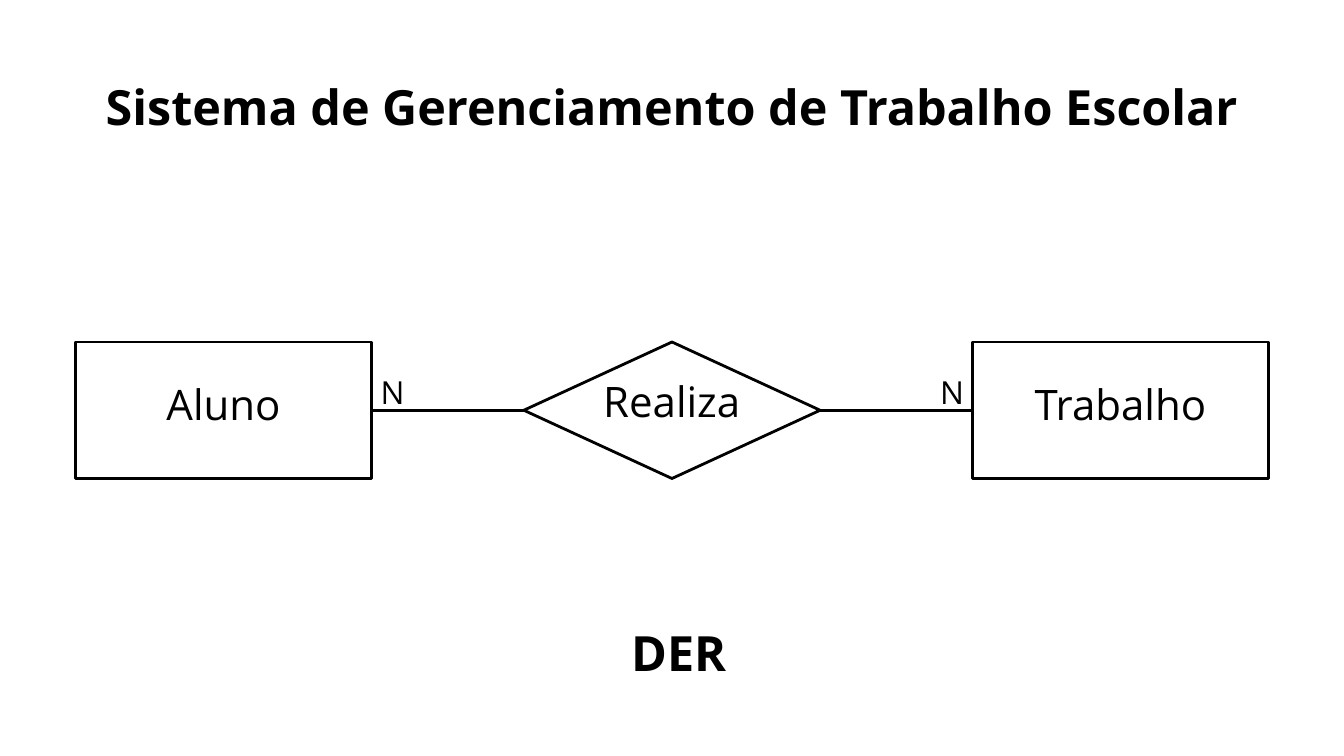
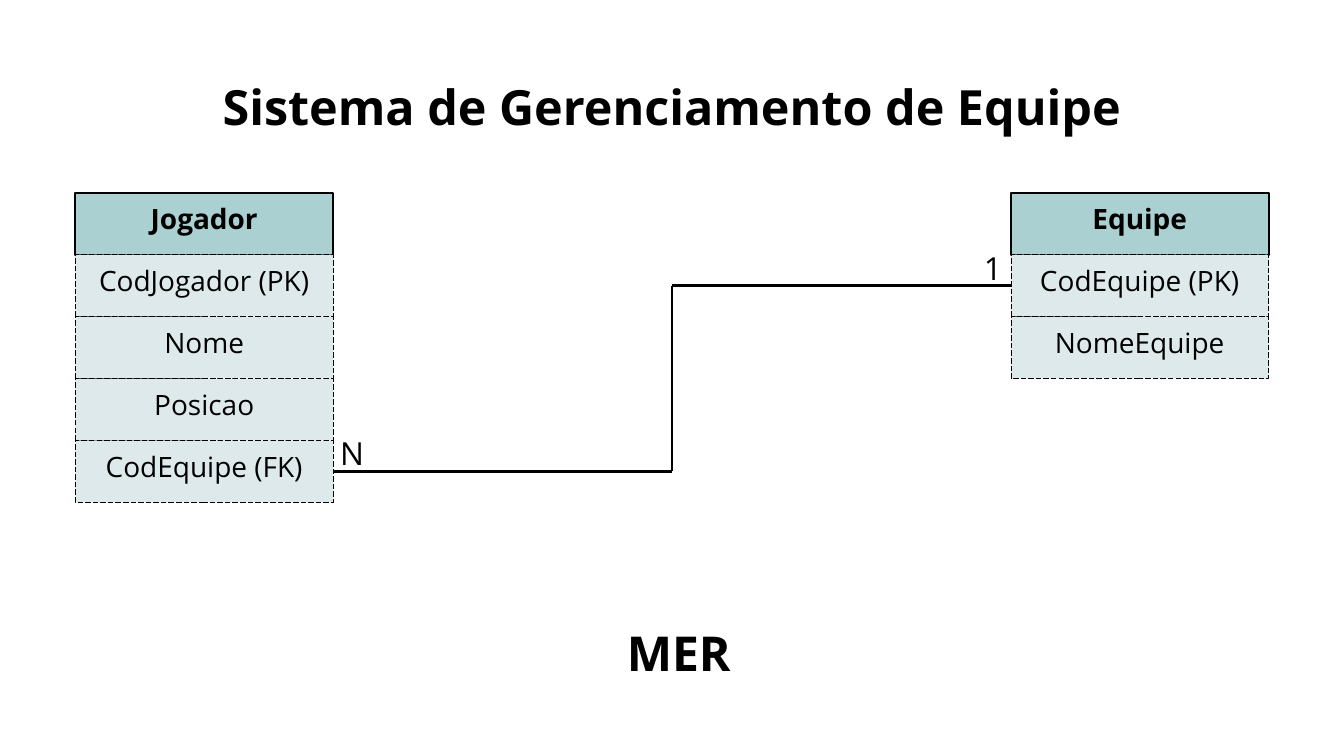
from itertools import pairwise

from lxml.etree import SubElement
from pptx import Presentation
from pptx.dml.color import RGBColor
from pptx.enum.dml import MSO_LINE
from pptx.enum.shapes import MSO_CONNECTOR, MSO_SHAPE
from pptx.enum.text import MSO_ANCHOR, PP_ALIGN
from pptx.oxml.ns import qn
from pptx.util import Cm, Pt

BLACK = RGBColor(0x00, 0x00, 0x00)
WHITE = RGBColor(0xFF, 0xFF, 0xFF)
TEAL = RGBColor(0xAA, 0xD0, 0xD1)
PALE_TEAL = RGBColor(0xDE, 0xE9, 0xEB)
FONT = "Open Sans"

SLIDE_W, SLIDE_H = 50.8, 28.58
MARGIN = 2.85
MIDDLE = SLIDE_W / 2


def write(shape, text, size, bold=False, raise_by=0):
    """Set one centred line of text; raise_by (cm) is kept free below it."""
    frame = shape.text_frame
    frame.word_wrap = True
    frame.margin_left = frame.margin_right = frame.margin_top = 0
    frame.margin_bottom = Cm(raise_by)
    frame.vertical_anchor = MSO_ANCHOR.MIDDLE
    frame.text = text
    paragraph = frame.paragraphs[0]
    paragraph.alignment = PP_ALIGN.CENTER
    paragraph.line_spacing = Pt(size * 1.4)
    font = paragraph.runs[0].font
    font.name, font.size, font.bold = FONT, Pt(size), bold
    font.color.rgb = BLACK


def outlined(slide, preset, box, fill, line_width):
    shape = slide.shapes.add_shape(preset, *map(Cm, box))
    shape.shadow.inherit = False
    shape.fill.solid()
    shape.fill.fore_color.rgb = fill
    shape.line.color.rgb = BLACK
    shape.line.width = Pt(line_width)
    return shape


prs = Presentation()
prs.slide_width, prs.slide_height = Cm(SLIDE_W), Cm(SLIDE_H)
der = prs.slides.add_slide(prs.slide_layouts[6])
mer = prs.slides.add_slide(prs.slide_layouts[6])

# Entities and relationship
ENTITY_W, ENTITY_H, ENTITY_TOP = 11.2, 5.16, 12.93
ENTITY_RIGHT = SLIDE_W - MARGIN - ENTITY_W
DIAMOND_LEFT = MIDDLE - ENTITY_W / 2
axis = ENTITY_TOP + ENTITY_H / 2

for entity, left in (("Aluno", MARGIN), ("Trabalho", ENTITY_RIGHT)):
    rectangle = outlined(der, MSO_SHAPE.RECTANGLE, (left, ENTITY_TOP, ENTITY_W, ENTITY_H), WHITE, 3)
    write(rectangle, entity, 45, raise_by=0.79)
outlined(der, MSO_SHAPE.DIAMOND, (DIAMOND_LEFT, ENTITY_TOP, ENTITY_W, ENTITY_H), WHITE, 3)

# Tables of the relational model
ROW_W, ROW_H, ROWS_TOP = 9.74, 2.34, 7.29
EQUIPE_LEFT = SLIDE_W - MARGIN - ROW_W
models = (
    (MARGIN, ("Jogador", "CodJogador (PK)", "Nome", "Posicao", "CodEquipe (FK)")),
    (EQUIPE_LEFT, ("Equipe", "CodEquipe (PK)", "NomeEquipe")),
)
for left, rows in models:
    for index, field in enumerate(rows):
        header = index == 0
        row = outlined(mer, MSO_SHAPE.RECTANGLE, (left, ROWS_TOP + index * ROW_H, ROW_W, ROW_H),
                       TEAL if header else PALE_TEAL, 2.25 if header else 0.75)
        if not header:
            row.line.dash_style = MSO_LINE.LONG_DASH
        write(row, field, 30, bold=header, raise_by=0.6)

# Relationship lines, each a run of corner points
primary_key_y = ROWS_TOP + 1.5 * ROW_H
foreign_key_y = ROWS_TOP + 4.5 * ROW_H
routes = (
    (der, ((MARGIN + ENTITY_W, axis), (DIAMOND_LEFT, axis))),
    (der, ((DIAMOND_LEFT + ENTITY_W, axis), (ENTITY_RIGHT, axis))),
    (mer, ((MARGIN + ROW_W, foreign_key_y), (MIDDLE, foreign_key_y),
           (MIDDLE, primary_key_y), (EQUIPE_LEFT, primary_key_y))),
)
for slide, corners in routes:
    for start, end in pairwise(corners):
        link = slide.shapes.add_connector(MSO_CONNECTOR.STRAIGHT, *map(Cm, start + end))
        link.line.color.rgb = BLACK
        link.line.width = Pt(3)
        SubElement(link._element.spPr, qn("a:effectLst"))

# Free texts: relationship name, cardinalities, titles and captions
labels = (
    (der, "Realiza", (21.72, 12.78, 7.34, 4.42), 45, False),
    (der, "N", (14.38, 13.89, 0.92, 1.6), 34, False),
    (der, "N", (35.53, 13.89, 0.92, 1.6), 34, False),
    (mer, "N", (12.85, 16.2, 0.92, 1.6), 34, False),
    (mer, "1", (37.18, 9.2, 0.7, 1.6), 34, False),
    (der, "Sistema de Gerenciamento de Trabalho Escolar", (3.9, 2.59, 43, 2.46), 52, True),
    (mer, "Sistema de Gerenciamento de Equipe", (8.38, 2.59, 34.04, 2.46), 52, True),
    (der, "DER", (23.6, 23.24, 4.11, 2.46), 52, True),
    (mer, "MER", (23.6, 23.24, 4.11, 2.46), 51.5, True),
)
for slide, text, box, size, bold in labels:
    write(slide.shapes.add_textbox(*map(Cm, box)), text, size, bold)

prs.save("out.pptx")
